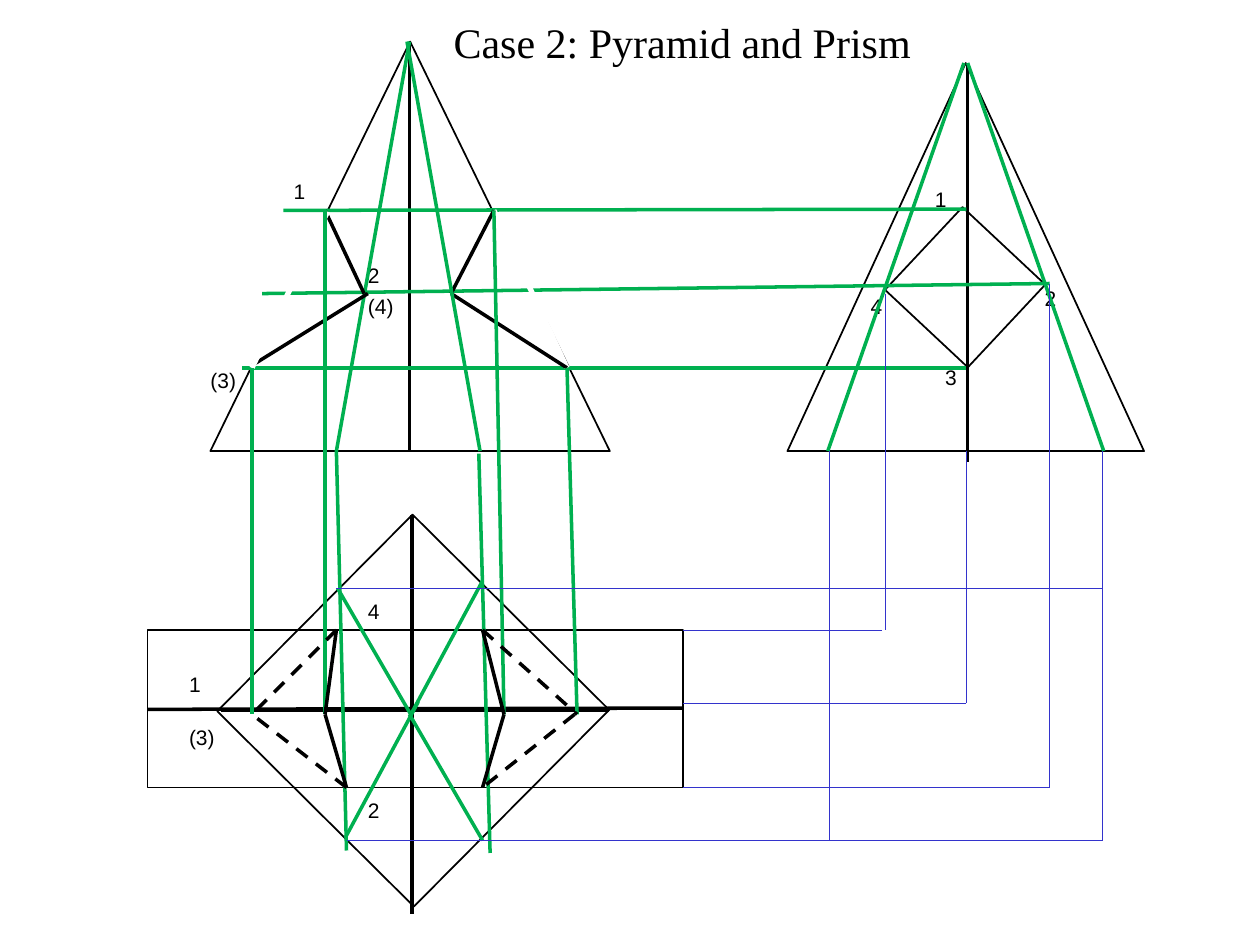
from lxml.etree import SubElement
from pptx import Presentation
from pptx.dml.color import RGBColor
from pptx.enum.dml import MSO_LINE
from pptx.enum.shapes import MSO_CONNECTOR, MSO_SHAPE
from pptx.enum.text import MSO_ANCHOR, MSO_AUTO_SIZE, PP_ALIGN
from pptx.oxml.ns import qn
from pptx.util import Pt

PX = 9144  # 100 px to the inch
BLACK = RGBColor(0x00, 0x00, 0x00)
WHITE = RGBColor(0xFF, 0xFF, 0xFF)
GREEN = RGBColor(0x00, 0xB0, 0x50)
BLUE = RGBColor(0x33, 0x33, 0xCC)


def write(box, text, size, font, margin=None):
    frame = box.text_frame
    frame.word_wrap = True
    frame.auto_size = MSO_AUTO_SIZE.SHAPE_TO_FIT_TEXT
    frame.vertical_anchor = MSO_ANCHOR.TOP
    if margin is not None:
        frame.margin_left = frame.margin_right = margin
        frame.margin_top = frame.margin_bottom = margin
    para = frame.paragraphs[0]
    para.alignment = PP_ALIGN.LEFT
    span = para.add_run()
    span.text = text
    span.font.size = Pt(size)
    span.font.name = font
    span.font.color.rgb = BLACK


def draw_lines(shapes, ends, color, width=2, dash=None):
    for end in ends:
        line = shapes.add_connector(MSO_CONNECTOR.STRAIGHT, *(n * PX for n in end))
        line.line.color.rgb = color
        line.line.width = Pt(width)
        if dash:
            line.line.dash_style = dash
        SubElement(line._element.spPr, qn("a:effectLst"))


deck = Presentation()
deck.slide_width, deck.slide_height = 1000 * PX, 750 * PX
page = deck.slides.add_slide(deck.slide_layouts[5])

title = page.shapes.title
title.left, title.top, title.width, title.height = 350 * PX, 8 * PX, 400 * PX, 51 * PX
write(title, "Case 2: Pyramid and Prism", 24, "Times New Roman")

# Outlines of the pyramid and the prism in the three views
for kind, left, top, width, height, turn in [
    (MSO_SHAPE.RECTANGLE, 721, 183, 90, 90, 43.1),
    (MSO_SHAPE.RECTANGLE, 218, 454, 220, 220, 44.8),
    (MSO_SHAPE.ISOSCELES_TRIANGLE, 167, 33, 317, 325, 0),
    (MSO_SHAPE.ISOSCELES_TRIANGLE, 625, 50, 283, 308, 0),
    (MSO_SHAPE.RECTANGLE, 267, 350, 125, 425, 270),
]:
    outline = page.shapes.add_shape(kind, left * PX, top * PX, width * PX, height * PX)
    outline.rotation = turn
    outline.shadow.inherit = False
    outline.fill.background()
    outline.line.color.rgb = BLACK
    outline.line.width = Pt(1)

axes = [
    (117, 563, 542, 562), (327, 409, 327, 725), (175, 564, 483, 564),
    (325, 34, 325, 359), (768, 50, 768, 367),
]
draw_lines(page.shapes, axes, BLACK)

for text, left, top in [
    ("1", 742, 148), ("2", 829, 227), ("3", 750, 289), ("4", 691, 233),
    ("1", 150, 533), ("(3)", 150, 575), ("2", 292, 633), ("4", 292, 475),
    ("1", 233, 142), ("(3)", 167, 292), ("(4)", 292, 233), ("2", 292, 208),
]:
    label = page.shapes.add_textbox(left * PX, top * PX, 25 * PX, 20 * PX)
    write(label, text, 12, "Arial", margin=0)

levels = [(767, 166, 225, 167), (767, 292, 192, 292), (833, 225, 208, 233)]
side_cuts = [(768, 50, 876, 358), (765, 50, 657, 358)]
top_cuts = [
    (268, 467, 326, 567), (383, 461, 325, 569),
    (325, 567, 383, 667), (332, 557, 274, 665),
]
left_cut = [(275, 675, 267, 358), (267, 358, 325, 33)]
draw_lines(page.shapes, levels + side_cuts + top_cuts + left_cut, GREEN)

# Front view: the pyramid edges are blanked where the prism passes through
draw_lines(page.shapes, [(258, 167, 289, 233), (292, 233, 200, 290)], BLACK)
draw_lines(page.shapes, [(260, 168, 200, 292), (392, 167, 450, 292)], WHITE, width=3)
draw_lines(page.shapes, [(392, 167, 358, 233), (358, 233, 450, 292)], BLACK)

right_cut = [(389, 677, 380, 360), (381, 358, 323, 33)]
drops = [
    (258, 167, 258, 567), (200, 292, 200, 567),
    (392, 167, 400, 567), (450, 292, 458, 567),
]
draw_lines(page.shapes, right_cut + drops, GREEN)

# Top view: visible and hidden intersection lines
visible = [
    (267, 500, 258, 567), (258, 567, 275, 625),
    (383, 500, 400, 567), (400, 567, 383, 625),
]
hidden = [
    (267, 500, 200, 567), (275, 625, 200, 567),
    (383, 500, 458, 567), (456, 567, 383, 625),
]
draw_lines(page.shapes, visible, BLACK)
draw_lines(page.shapes, hidden, BLACK, dash=MSO_LINE.DASH)

pyramid_transfer = [
    (658, 358, 658, 667), (875, 358, 875, 667),
    (267, 467, 875, 467), (275, 667, 875, 667),
]
prism_transfer = [
    (542, 558, 767, 558), (542, 500, 700, 500), (542, 625, 833, 625),
    (703, 233, 703, 500), (833, 225, 833, 625), (767, 358, 767, 558),
]
for transfer in (pyramid_transfer, prism_transfer):
    draw_lines(page.shapes.add_group_shape().shapes, transfer, BLUE, width=0.5)

deck.save("out.pptx")
